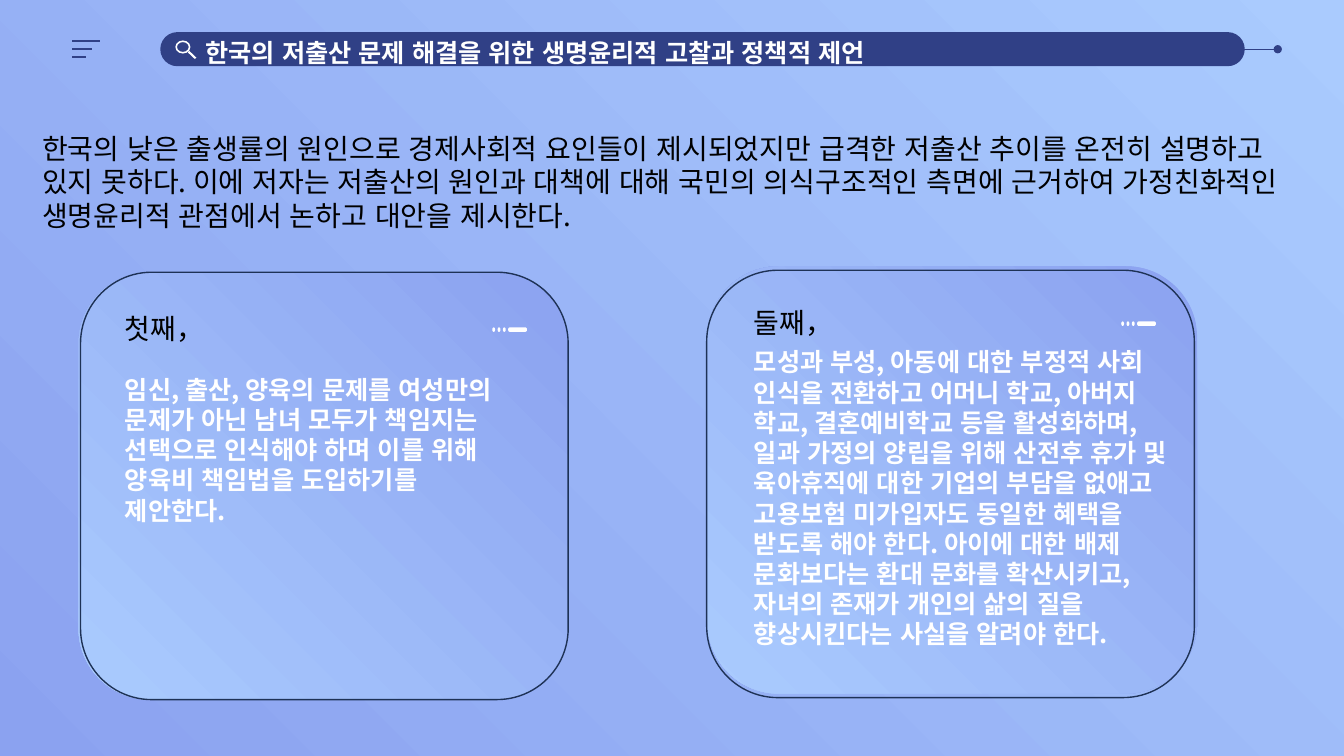
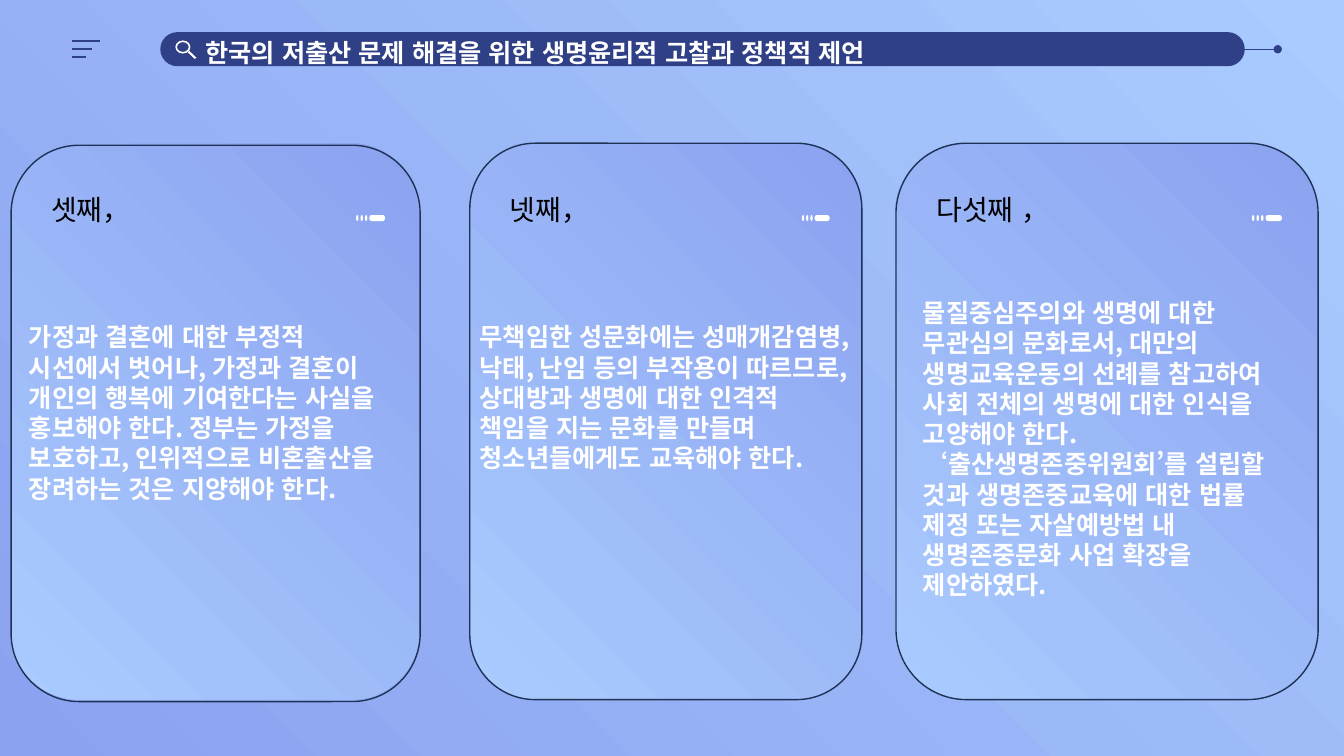
from pptx import Presentation
from pptx import util as u
from pptx.dml.color import RGBColor
from pptx.enum import lang, shapes, text
from pptx.oxml.ns import qn
from lxml import etree

COLORS = {"deep": "8BA2F0", "light": "AACBFE", "navy": "304086",
          "outline": "1E3256", "white": "FFFFFF", "black": "000000"}
LATIN, KOREAN, BOLD = "Calibri", "Noto Sans CJK KR", "Noto Sans CJK SC"
TITLE = "한국의 저출산 문제 해결을 위한 생명윤리적 고찰과 정책적 제언"

INTRO = [
    ("한국의 낮은 출생률의 원인으로 경제사회적 요인들이 제시되었지만 급격한 저출산 추이를 "
     "온전히 설명하고 있지 못하다", LATIN),
    (". ", KOREAN),
    ("이에 저자는 저출산의 원인과 대책에 대해 국민의 의식구조적인 측면에 근거하여 "
     "가정친화적인 생명윤리적 관점에서 논하고 대안을 제시한다", LATIN),
    (".", KOREAN),
]

# Each card: heading, body text, filled box, outline box, body box (cm)
FIRST_CARDS = [
    ("첫째，",
     "임신, 출산, 양육의 문제를 여성만의 문제가 아닌 남녀 모두가 책임지는 선택으로 "
     "인식해야 하며 이를 위해 양육비 책임법을 도입하기를 제안한다.",
     (1.98, 6.86, 12.34, 10.77), (2.03, 6.86, 12.29, 10.77), (2.9, 9.3, 9.88, 4.11)),
    ("둘째，",
     "모성과 부성, 아동에 대한 부정적 사회 인식을 전환하고 어머니 학교, 아버지 학교, "
     "결혼예비학교 등을 활성화하며, 일과 가정의 양립을 위해 산전후 휴가 및 육아휴직에 대한 "
     "기업의 부담을 없애고 고용보험 미가입자도 동일한 혜택을 받도록 해야 한다. 아이에 대한 "
     "배제 문화보다는 환대 문화를 확산시키고, 자녀의 존재가 개인의 삶의 질을 향상시킨다는 "
     "사실을 알려야 한다.",
     (17.83, 6.71, 12.34, 10.77), (17.81, 6.81, 12.29, 10.77), (18.75, 8.61, 11.35, 8.71)),
]
SECOND_CARDS = [
    ("셋째，",
     "가정과 결혼에 대한 부정적 시선에서 벗어나, 가정과 결혼이 개인의 행복에 기여한다는 "
     "사실을 홍보해야 한다. 정부는 가정을 보호하고, 인위적으로 비혼출산을 장려하는 것은 "
     "지양해야 한다.",
     (0.28, 3.61, 10.29, 14.02), (0.28, 3.66, 10.31, 14.02), (0.48, 7.98, 9.88, 5.64)),
    ("넷째，",
     "무책임한 성문화에는 성매개감염병, 낙태, 난임 등의 부작용이 따르므로, 상대방과 생명에 "
     "대한 인격적 책임을 지는 문화를 만들며 청소년들에게도 교육해야 한다.",
     (11.86, 3.61, 9.88, 14.02), (11.84, 3.61, 9.88, 14.02), (11.84, 7.98, 9.88, 4.88)),
    ("다섯째 ，",
     "물질중심주의와 생명에 대한 무관심의 문화로서, 대만의 생명교육운동의 선례를 참고하여 "
     "사회 전체의 생명에 대한 인식을 고양해야 한다. ‘출산생명존중위원회’를 설립할 것과 "
     "생명존중교육에 대한 법률 제정 또는 자살예방법 내 생명존중문화 사업 확장을 제안하였다.",
     (22.56, 3.61, 10.64, 14.02), (22.58, 3.61, 10.64, 14.02), (23.01, 7.37, 9.88, 7.95)),
]


def rgb(name):
    return RGBColor.from_string(COLORS[name])


def fill_gradient(fill, angle):
    fill.gradient()
    fill.gradient_angle = angle
    for stop, name in zip(fill.gradient_stops, ("deep", "light")):
        stop.color.rgb = rgb(name)


class Deck:
    def __init__(self):
        self.presentation = Presentation()
        self.presentation.slide_width = u.Cm(33.87)
        self.presentation.slide_height = u.Cm(19.05)
        self.slide = None

    def new_slide(self):
        """Start a slide with the shared background, search bar and title."""
        self.slide = self.presentation.slides.add_slide(self.presentation.slide_layouts[6])
        fill_gradient(self.slide.background.fill, 45)
        bar = self.shape("ROUNDED_RECTANGLE", (4.04, 0.81, 27.33, 0.86), "navy")
        bar.adjustments[0] = 0.5
        lens = self.shape("DONUT", (4.42, 1.02, 0.38, 0.33), "white")
        lens.adjustments[0] = 0.125
        self.line((4.75, 1.3), (4.93, 1.47), "white", 1.5)
        for row, length in enumerate((0.7, 0.5, 0.35)):
            y = 1.04 + 0.2 * row
            self.line((1.82, y), (1.82 + length, y), "navy", 1.5)
        self.line((19.15, 1.24), (32.2, 1.24), "navy", 0.5, tail="oval")
        self.text((4.93, 0.81, 18.72, 1.02), [(TITLE, BOLD)], 18, "white", True, wrap=False)

    def shape(self, kind, box, fill=None, outline=None):
        shape = self.slide.shapes.add_shape(
            getattr(shapes.MSO_SHAPE, kind), *(u.Cm(length) for length in box))
        shape.shadow.inherit = False
        if fill == "gradient":
            fill_gradient(shape.fill, 225)
        elif fill:
            shape.fill.solid()
            shape.fill.fore_color.rgb = rgb(fill)
        else:
            shape.fill.background()
        if outline:
            shape.line.color.rgb = rgb(outline)
            shape.line.width = u.Pt(1)
        else:
            shape.line.fill.background()
        return shape

    def line(self, start, end, color, width, tail=None):
        connector = self.slide.shapes.add_connector(
            shapes.MSO_CONNECTOR.STRAIGHT, *(u.Cm(length) for length in start + end))
        connector.line.color.rgb = rgb(color)
        connector.line.width = u.Pt(width)
        if tail:
            etree.SubElement(connector.line._get_or_add_ln(), qn("a:tailEnd"), type=tail)
        etree.SubElement(connector._element.spPr, qn("a:effectLst"))

    def text(self, box, runs, size, color, bold=False, wrap=True):
        """Add one paragraph made of (words, font) runs."""
        frame = self.slide.shapes.add_textbox(*(u.Cm(length) for length in box)).text_frame
        frame.word_wrap = wrap
        frame.vertical_anchor = text.MSO_ANCHOR.TOP
        paragraph = frame.paragraphs[0]
        paragraph.line_spacing = u.Pt(size * 1.2)
        for words, font_name in runs:
            run = paragraph.add_run()
            run.text = words
            font = run.font
            font.size, font.bold, font.name = u.Pt(size), bold, font_name
            font.color.rgb = rgb(color)
            font.language_id = lang.MSO_LANGUAGE_ID.KOREAN
            east_asian = KOREAN if font_name == LATIN else font_name
            etree.SubElement(run._r.get_or_add_rPr(), qn("a:ea"), typeface=east_asian)

    def card(self, heading, body, box, outline_box, body_box):
        """Draw a card whose heading and dots scale with its box."""
        left, top, width, height = box

        def inside(x, y, w, h):
            return left + x * width, top + y * height, w * width, h * height

        self.shape("ROUNDED_RECTANGLE", box, "gradient")
        for dot in range(3):
            self.shape("OVAL", inside(0.845 + 0.0108 * dot, 0.129, 0.0058, 0.0108), "white")
        dash = self.shape("ROUNDED_RECTANGLE", inside(0.8774, 0.129, 0.0383, 0.0108), "white")
        dash.adjustments[0] = 0.4
        self.text(inside(0.074, 0.08, 0.662, 0.1035), [(heading, LATIN)], 20, "black")
        self.text(body_box, [(body, BOLD)], 18, "white", True)
        self.shape("ROUNDED_RECTANGLE", outline_box, outline="outline")


def main():
    deck = Deck()
    deck.new_slide()
    deck.text((0.81, 3.18, 32.23, 2.82), INTRO, 20, "black")
    for card in FIRST_CARDS:
        deck.card(*card)
    deck.new_slide()
    for card in SECOND_CARDS:
        deck.card(*card)
    deck.presentation.save("out.pptx")


if __name__ == "__main__":
    main()
